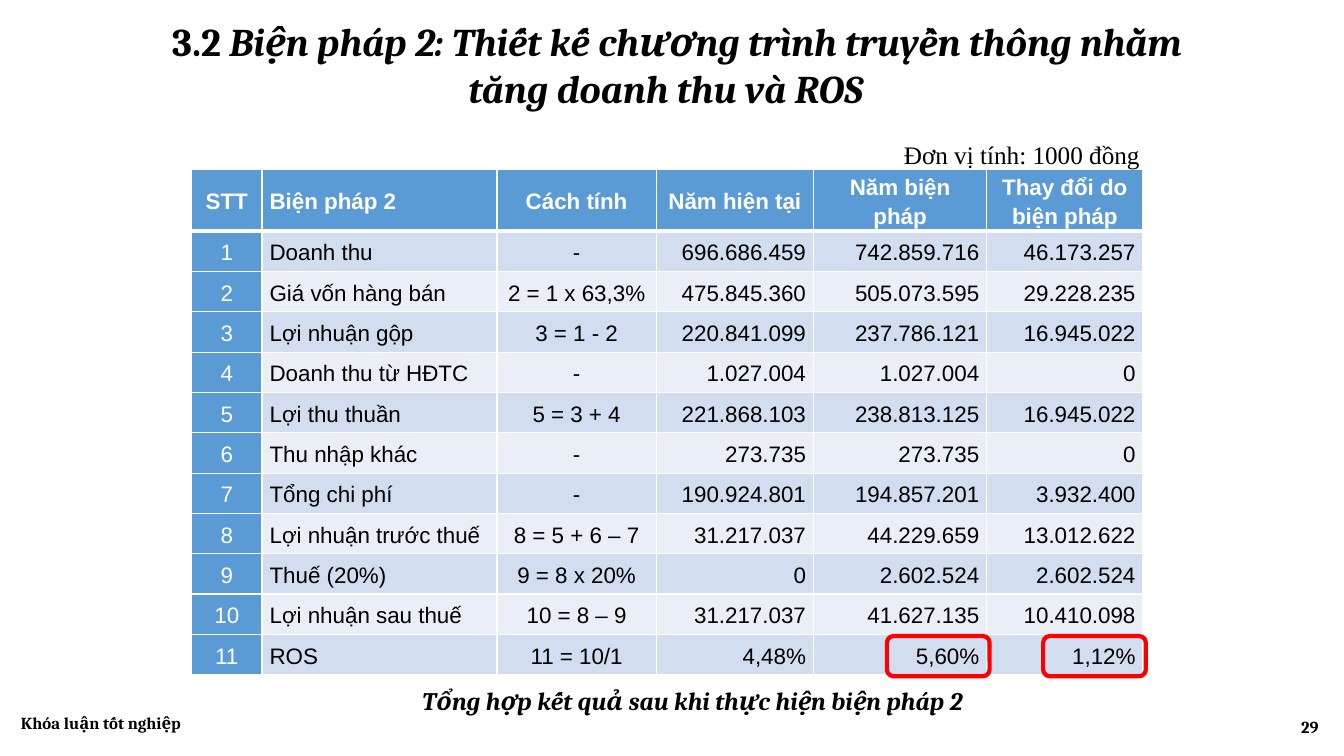
import pptx
import pptx.dml.color
import pptx.enum.shapes
import pptx.enum.text
import pptx.oxml
import pptx.oxml.ns
import pptx.util

Pt = pptx.util.Pt
ALIGN = pptx.enum.text.PP_ALIGN
MIDDLE = pptx.enum.text.MSO_ANCHOR.MIDDLE
FIT = pptx.enum.text.MSO_AUTO_SIZE.SHAPE_TO_FIT_TEXT

COLORS = {
    "text": "000000",
    "white": "FFFFFF",
    "header": "5B9BD5",
    "odd": "D2DEEF",
    "even": "EAEFF7",
    "highlight": "FF0000",
}
TITLE_FONT = {"name": "Cambria", "size": Pt(28), "bold": True}
TITLE_ITALIC = {**TITLE_FONT, "italic": True}
CAPTION_FONT = {**TITLE_ITALIC, "size": Pt(18)}
UNIT_FONT = {"name": "Times New Roman", "size": Pt(18)}
FOOTER_FONT = {"name": "Cambria", "size": Pt(12), "bold": True}
CELL_FONT = {"name": "Arial", "size": Pt(16)}
CELL_SPACING = {"line_spacing": 1.15, "space_before": Pt(2)}

COLUMN_WIDTHS = [50.4, 167.8, 113.8, 112.3, 123.8, 111.6]
COLUMN_ALIGNS = [ALIGN.CENTER, ALIGN.LEFT, ALIGN.CENTER] + [ALIGN.RIGHT] * 3
HEADER_HEIGHT = 44
ROW_HEIGHT = 28.8
HEADINGS = ["STT", "Biện pháp 2", "Cách tính", "Năm hiện tại", "Năm biện pháp", "Thay đổi do biện pháp"]
RESULTS = [
    ["Doanh thu", "-", "696.686.459", "742.859.716", "46.173.257"],
    ["Giá vốn hàng bán", "2 = 1 x 63,3%", "475.845.360", "505.073.595", "29.228.235"],
    ["Lợi nhuận gộp", "3 = 1 - 2", "220.841.099", "237.786.121", "16.945.022"],
    ["Doanh thu từ HĐTC", "-", "1.027.004", "1.027.004", "0"],
    ["Lợi thu thuần", "5 = 3 + 4", "221.868.103", "238.813.125", "16.945.022"],
    ["Thu nhập khác", "-", "273.735", "273.735", "0"],
    ["Tổng chi phí", "-", "190.924.801", "194.857.201", "3.932.400"],
    ["Lợi nhuận trước thuế", "8 = 5 + 6 – 7", "31.217.037", "44.229.659", "13.012.622"],
    ["Thuế (20%)", "9 = 8 x 20%", "0", "2.602.524", "2.602.524"],
    ["Lợi nhuận sau thuế", "10 = 8 – 9", "31.217.037", "41.627.135", "10.410.098"],
    ["ROS", "11 = 10/1", "4,48%", "5,60%", "1,12%"],
]


def rgb(color):
    """Return the named colour."""
    return pptx.dml.color.RGBColor.from_string(COLORS[color])


def apply(target, values):
    """Set each format value on the target."""
    for key, value in values.items():
        setattr(target, key, value)


def add_run(paragraph, text, font, color="text"):
    """Append formatted text to a paragraph."""
    run = paragraph.add_run()
    run.text = text
    apply(run.font, font)
    run.font.color.rgb = rgb(color)


def add_frame(slide, box, **values):
    """Add a text box and return its frame."""
    frame = slide.shapes.add_textbox(*map(Pt, box)).text_frame
    apply(frame, {"word_wrap": True, **values})
    return frame


def add_line(slide, box, text, font, paragraph_format, **values):
    """Add a text box holding one paragraph."""
    paragraph = add_frame(slide, box, **values).paragraphs[0]
    apply(paragraph, paragraph_format)
    add_run(paragraph, text, font)


def add_title(slide, box):
    """Write the two-line heading."""
    frame = add_frame(slide, box, auto_size=FIT)
    first = frame.paragraphs[0]
    add_run(first, "3.2 ", TITLE_FONT)
    add_run(first, "Biện pháp 2: Thiết kế chương trình truyền thông nhằm", TITLE_ITALIC)
    second = frame.add_paragraph()
    second._p.get_or_add_pPr().set("indent", str(Pt(211.7)))
    add_run(second, "tăng doanh thu và ROS", TITLE_ITALIC)


def add_borders(cell, top, bottom):
    """Draw white borders around a cell."""
    properties = cell._tc.get_or_add_tcPr()
    sides = [("lnL", 1), ("lnR", 1), ("lnT", top), ("lnB", bottom)]
    for position, (side, width) in enumerate(sides):
        border = pptx.oxml.parse_xml(
            f'<a:{side} {pptx.oxml.ns.nsdecls("a")} w="{Pt(width)}"><a:solidFill>'
            f'<a:srgbClr val="{COLORS["white"]}"/></a:solidFill></a:{side}>'
        )
        properties.insert(position, border)


def add_cell(cell, text, row, column):
    """Fill and write one table cell."""
    heading = row == 0
    accent = heading or column == 0
    band = "odd" if row % 2 else "even"
    apply(cell, {
        "margin_left": Pt(5.4), "margin_right": Pt(5.4),
        "margin_top": 0, "margin_bottom": 0, "vertical_anchor": MIDDLE,
    })
    cell.fill.solid()
    cell.fill.fore_color.rgb = rgb("header" if accent else band)
    add_borders(cell, 3 if row == 1 else 1, 3 if heading else 1)
    paragraph = cell.text_frame.paragraphs[0]
    apply(paragraph, CELL_SPACING)
    centred = heading and column != 1
    paragraph.alignment = ALIGN.CENTER if centred else COLUMN_ALIGNS[column]
    add_run(paragraph, text, {**CELL_FONT, "bold": heading}, "white" if accent else "text")


def add_results(slide, left, top):
    """Build the results table and mark its two key ratios."""
    rows = [HEADINGS] + [[str(n), *result] for n, result in enumerate(RESULTS, 1)]
    height = HEADER_HEIGHT + ROW_HEIGHT * len(RESULTS)
    table = slide.shapes.add_table(
        len(rows), len(HEADINGS), Pt(left), Pt(top), Pt(sum(COLUMN_WIDTHS)), Pt(height)
    ).table
    for column, width in zip(table.columns, COLUMN_WIDTHS):
        column.width = Pt(width)
    for r, texts in enumerate(rows):
        table.rows[r].height = Pt(ROW_HEIGHT if r else HEADER_HEIGHT)
        for c, text in enumerate(texts):
            add_cell(table.cell(r, c), text, r, c)
    for column in (4, 5):
        right = left + sum(COLUMN_WIDTHS[:column + 1]) + 2
        add_highlight(slide, (right - 73.4, top + height - ROW_HEIGHT + 1.3, 73.4, ROW_HEIGHT))


def add_highlight(slide, box):
    """Outline a value in red."""
    outline = slide.shapes.add_shape(
        pptx.enum.shapes.MSO_SHAPE.ROUNDED_RECTANGLE, *map(Pt, box)
    )
    outline.shadow.inherit = False
    outline.fill.background()
    outline.line.color.rgb = rgb("highlight")
    outline.line.width = Pt(3)


def add_footer(slide, left, top, width):
    """Write the thesis label and the page number."""
    add_line(slide, (left, top, 216, 28.8), "Khóa luận tốt nghiệp", FOOTER_FONT,
             {"alignment": ALIGN.LEFT}, vertical_anchor=MIDDLE)
    add_line(slide, (left + width - 216, top + 2.9, 216, 28.8), "29", FOOTER_FONT,
             {"alignment": ALIGN.RIGHT}, vertical_anchor=MIDDLE)


def main():
    """Build and save the slide."""
    deck = pptx.Presentation()
    deck.slide_width, deck.slide_height = Pt(960), Pt(540)
    slide = deck.slides.add_slide(deck.slide_layouts[6])
    add_title(slide, (115.9, 8.6, 768.2, 74.9))
    add_results(slide, 136.8, 121)
    add_line(slide, (294.5, 486, 410.4, 28.8), "Tổng hợp kết quả sau khi thực hiện biện pháp 2",
             CAPTION_FONT, {"alignment": ALIGN.LEFT}, word_wrap=False, auto_size=FIT)
    add_line(slide, (638.6, 92.9, 194.4, 32.4), "Đơn vị tính: 1000 đồng", UNIT_FONT,
             {"alignment": ALIGN.JUSTIFY, "line_spacing": 1.15}, auto_size=FIT)
    add_footer(slide, 7.9, 501.8, 941.1)
    deck.save("out.pptx")


if __name__ == "__main__":
    main()
